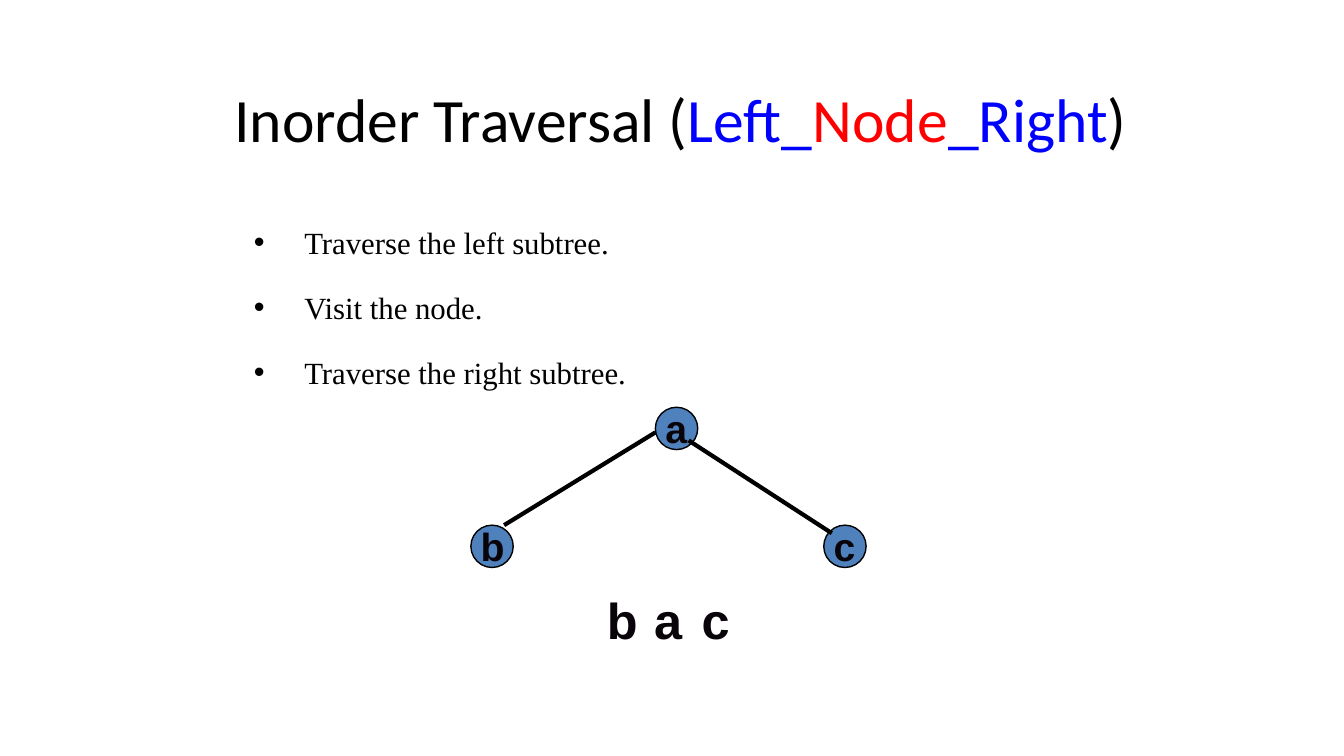
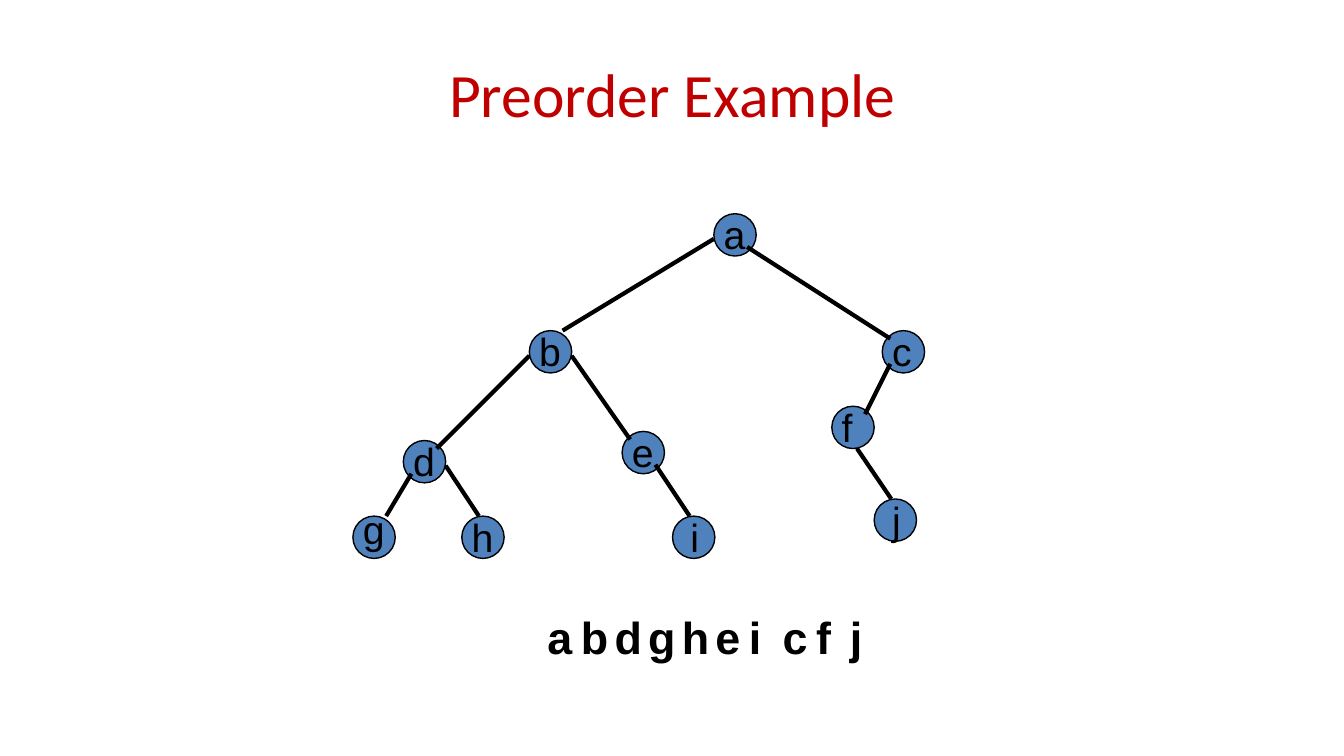
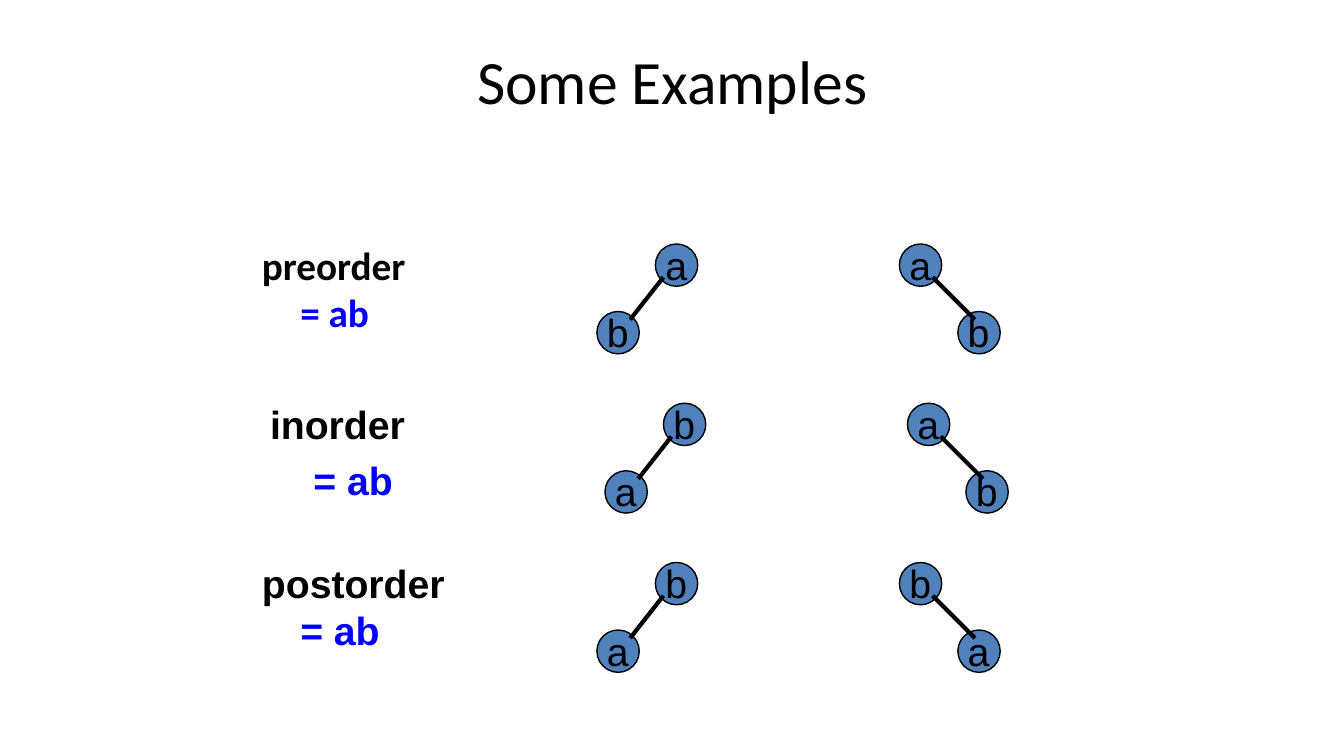
from dataclasses import dataclass

import lxml.etree
import pptx
import pptx.dml.color
import pptx.enum.shapes
import pptx.enum.text
import pptx.oxml.ns
import pptx.shapes.shapetree
import pptx.slide
import pptx.util

Inches = pptx.util.Inches
Pt = pptx.util.Pt

BLACK, INK, BLUE, RED, DARK_RED, NODE_FILL = "000000", "090409", "0000FF", "FF0000", "C00000", "4F81BD"
NODE_SIZE = 0.42
LABEL_RISE = 0.08
LABEL_WIDTH, LABEL_HEIGHT = 0.83, 0.57

ANCHORS = {
    "left": (0, 0.25),
    "right": (0.42, 0.25),
    "bottom": (0.25, 0.42),
    "lower left": (0.08, 0.33),
    "lower right": (0.33, 0.33),
    "upper left": (0.08, 0.08),
    "upper middle": (0.17, 0.08),
    "upper right": (0.33, 0.08),
    "top": (0.17, 0),
    "top right": (0.33, 0),
}

TITLE_FONT = {"name": "Calibri", "size": Pt(44), "bold": False}
STEP_FONT = {"name": "Times New Roman", "size": Pt(22), "bold": False}
NODE_FONT = {"name": "Arial", "size": Pt(28), "bold": False}
BOLD_FONT = {"name": "Arial", "size": Pt(28), "bold": True}
BOLD_CALIBRI = {"name": "Calibri", "size": Pt(28), "bold": True}
VISIT_FONT = {"name": "Arial", "size": Pt(32), "bold": True}
LARGE_VISIT_FONT = {"name": "Arial", "size": Pt(36), "bold": True}


@dataclass(frozen=True)
class Span:
    text: str
    color: str = BLACK


@dataclass(frozen=True)
class Line:
    spans: tuple[Span, ...]
    margin: float = 0
    indent: float = 0
    before: float = 0
    bullet: str = ""


@dataclass(frozen=True)
class Box:
    left: float
    top: float
    width: float
    height: float

    def emu(self) -> tuple[int, ...]:
        return tuple(Inches(v) for v in (self.left, self.top, self.width, self.height))


@dataclass(frozen=True)
class Node:
    letter: str
    left: float
    top: float
    parent: str = ""
    leave: str = ""
    arrive: str = ""
    nudge: tuple[float, float] = (0, 0)

    def anchor(self, place: str) -> tuple[int, int]:
        across, down = ANCHORS[place]
        return Inches(self.left + across), Inches(self.top + down)


@dataclass(frozen=True)
class Order:
    lines: tuple[Line, ...]
    font: dict
    width: float
    shift: float
    letters: tuple[str, str]
    mirrored: tuple[str, str]


def rgb(color: str) -> pptx.dml.color.RGBColor:
    return pptx.dml.color.RGBColor.from_string(color)


def apply(target: object, values: dict) -> None:
    for key, value in values.items():
        setattr(target, key, value)


def write_line(paragraph, line: Line, font: dict) -> None:
    properties = paragraph._p.get_or_add_pPr()
    if line.margin:
        properties.set("marL", str(Inches(line.margin)))
        properties.set("indent", str(Inches(line.indent)))
    if line.bullet:
        qn = pptx.oxml.ns.qn
        lxml.etree.SubElement(properties, qn("a:buFont")).set("typeface", "Arial")
        lxml.etree.SubElement(properties, qn("a:buChar")).set("char", line.bullet)
    if line.before:
        paragraph.space_before = Pt(line.before)
    for span in line.spans:
        run = paragraph.add_run()
        run.text = span.text
        apply(run.font, font)
        run.font.color.rgb = rgb(span.color)


def add_text(shapes, box: Box, lines: tuple[Line, ...], font: dict) -> None:
    frame = shapes.add_textbox(*box.emu()).text_frame
    frame.word_wrap = True
    for index, line in enumerate(lines):
        write_line(frame.add_paragraph() if index else frame.paragraphs[0], line, font)


def add_titled_slide(deck, box: Box, *spans: Span) -> pptx.slide.Slide:
    slide = deck.slides.add_slide(deck.slide_layouts[5])
    title = slide.shapes.title
    apply(title, dict(zip(("left", "top", "width", "height"), box.emu())))
    apply(title.text_frame, {
        "vertical_anchor": pptx.enum.text.MSO_ANCHOR.MIDDLE,
        "auto_size": pptx.enum.text.MSO_AUTO_SIZE.NONE,
        "word_wrap": True,
    })
    heading = title.text_frame.paragraphs[0]
    heading.alignment = pptx.enum.text.PP_ALIGN.CENTER
    write_line(heading, Line(spans), TITLE_FONT)
    return slide


def draw_circle(shapes: pptx.shapes.shapetree.GroupShapes, node: Node) -> None:
    box = Box(node.left, node.top, NODE_SIZE, NODE_SIZE)
    circle = shapes.add_shape(pptx.enum.shapes.MSO_SHAPE.OVAL, *box.emu())
    circle.shadow.inherit = False
    circle.fill.solid()
    circle.fill.fore_color.rgb = rgb(NODE_FILL)
    circle.line.color.rgb = rgb(BLACK)
    circle.line.width = Pt(1)


def draw_edge(shapes: pptx.shapes.shapetree.GroupShapes, parent: Node, child: Node) -> None:
    edge = shapes.add_connector(
        pptx.enum.shapes.MSO_CONNECTOR.STRAIGHT,
        *parent.anchor(child.leave),
        *child.anchor(child.arrive),
    )
    edge.line.color.rgb = rgb(BLACK)
    edge.line.width = Pt(3)
    lxml.etree.SubElement(edge._element.spPr, pptx.oxml.ns.qn("a:effectLst"))


def draw_tree(slide: pptx.slide.Slide, nodes: tuple[Node, ...], font: dict, color: str = BLACK) -> None:
    shapes = slide.shapes.add_group_shape().shapes
    by_letter = {node.letter: node for node in nodes}
    for node in nodes:
        draw_circle(shapes, node)
    for node in nodes:
        if node.parent:
            draw_edge(shapes, by_letter[node.parent], node)
    for node in nodes:
        across, down = node.nudge
        box = Box(node.left + across, node.top - LABEL_RISE + down, LABEL_WIDTH, LABEL_HEIGHT)
        add_text(shapes, box, (Line((Span(node.letter, color),)),), font)


def add_inorder(deck) -> None:
    slide = add_titled_slide(
        deck, Box(2, 0.42, 9.5, 1.5),
        Span("Inorder Traversal ("), Span("Left_", BLUE), Span("Node", RED),
        Span("_Right", BLUE), Span(")"),
    )
    steps = ("Traverse the left subtree.", "Visit the node.", "Traverse the right subtree.")
    add_text(
        slide.shapes, Box(2.42, 2.17, 8.5, 1.83),
        tuple(Line((Span(step),), 0.5, -0.5, 20 if index else 0, "•") for index, step in enumerate(steps)),
        STEP_FONT,
    )
    draw_tree(slide, (
        Node("a", 6.5, 4.04),
        Node("b", 4.67, 5.21, "a", "left", "top right"),
        Node("c", 8.17, 5.21, "a", "lower right", "upper left"),
    ), BOLD_FONT, INK)
    for letter, left in (("b", 5.92), ("a", 6.39), ("c", 6.86)):
        add_text(slide.shapes, Box(left, 5.79, 1.42, 0.71), (Line((Span(letter, INK),)),), LARGE_VISIT_FONT)


def add_preorder(deck) -> None:
    slide = add_titled_slide(deck, Box(0.67, 0.3, 12, 1.25), Span("Preorder Example", DARK_RED))
    draw_tree(slide, (
        Node("a", 7.08, 2.12),
        Node("b", 5.25, 3.28, "a", "left", "top right"),
        Node("c", 8.75, 3.28, "a", "lower right", "upper left"),
        Node("d", 4, 4.37, "b", "left", "upper right"),
        Node("e", 6.17, 4.28, "b", "right", "upper left"),
        Node("f", 8.25, 4.03, "c", "lower left", "upper right"),
        Node("g", 3.5, 5.12, "d", "lower left", "top right", (0, -0.08)),
        Node("h", 4.58, 5.12, "d", "right", "top"),
        Node("i", 6.67, 5.12, "e", "lower right", "top", (0.08, 0)),
        Node("j", 8.67, 4.95, "f", "bottom", "top", (0.08, 0)),
    ), NODE_FONT)
    for index, letter in enumerate("abdgheicfj"):
        add_text(slide.shapes, Box(5.33 + index / 3, 6, 0.42, 0.64), (Line((Span(letter),)),), VISIT_FONT)


def add_examples(deck) -> None:
    slide = add_titled_slide(deck, Box(2.42, 0.42, 8.5, 0.75), Span("Some Examples"))
    result = Span("= ab", BLUE)
    orders = (
        Order((Line((Span("preorder "), result), 0.38, -0.38),), BOLD_CALIBRI, 1.83, 0, ("a", "b"), ("a", "b")),
        Order(
            (Line((Span("inorder"),), 0.38, -0.38), Line((result,), 0.43, 0, 6.4)),
            BOLD_FONT, 1.83, 0.08, ("b", "a"), ("a", "b"),
        ),
        Order((Line((Span("postorder "), result), 0.38, -0.38),), BOLD_FONT, 2.17, 0, ("b", "a"), ("b", "a")),
    )
    for row, order in enumerate(orders):
        top = 2.42 + row * 1.58
        add_text(slide.shapes, Box(2.5 + order.shift, top - 0.08, order.width, 1.33), order.lines, order.font)
        for letters, left, step, leave, arrive in (
            (order.letters, 6.5, -0.58, "lower left", "upper right"),
            (order.mirrored, 8.92, 0.58, "lower right", "upper middle"),
        ):
            root, child = letters
            draw_tree(slide, (
                Node(root, left + order.shift, top),
                Node(child, left + order.shift + step, top + 0.67, root, leave, arrive),
            ), NODE_FONT)


def main() -> None:
    deck = pptx.Presentation()
    apply(deck, {"slide_width": Inches(13.33), "slide_height": Inches(7.5)})
    for add_slide in (add_inorder, add_preorder, add_examples):
        add_slide(deck)
    deck.save("out.pptx")


if __name__ == "__main__":
    main()
